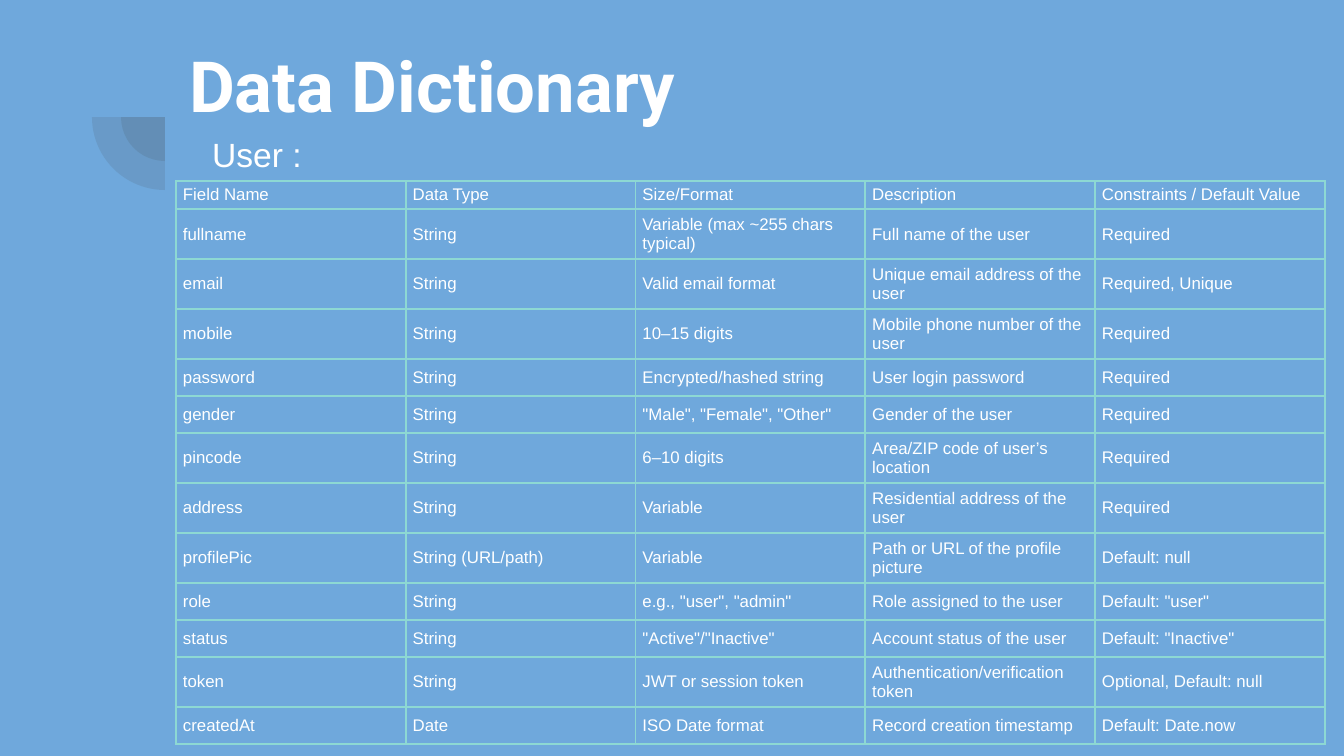
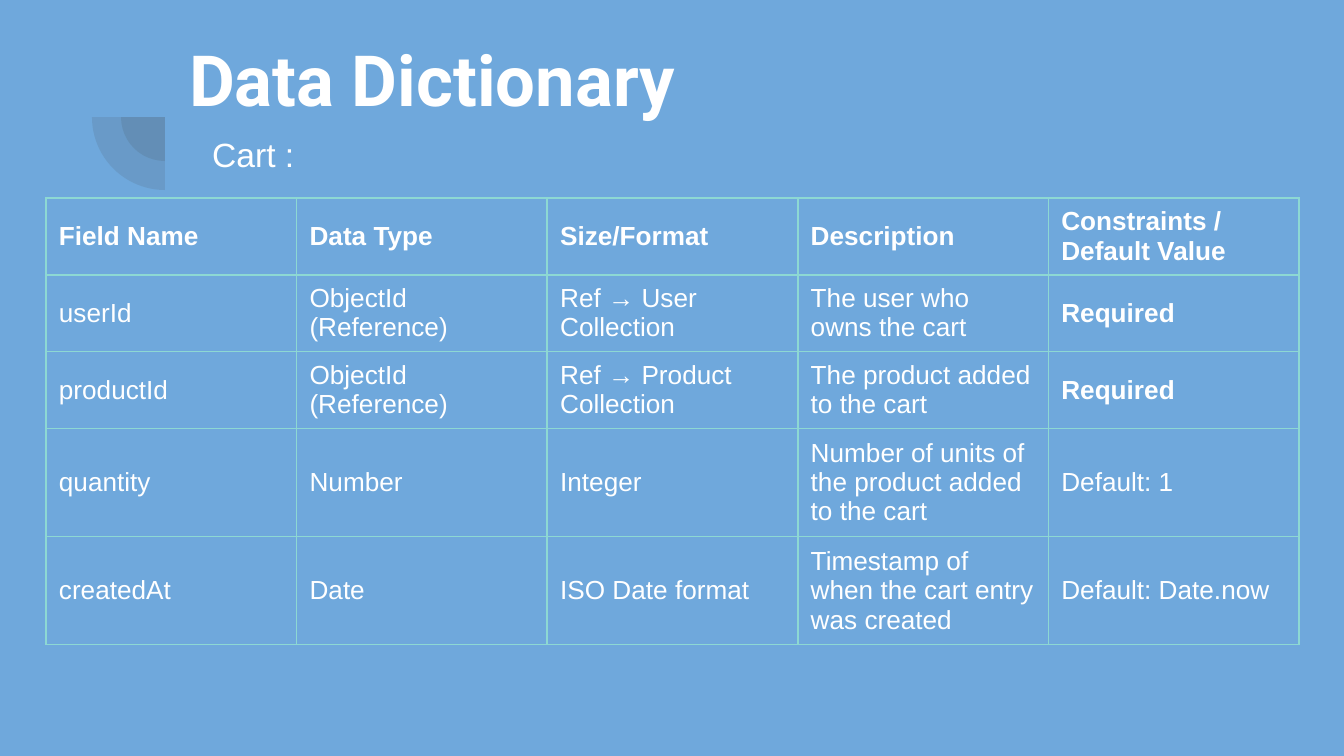
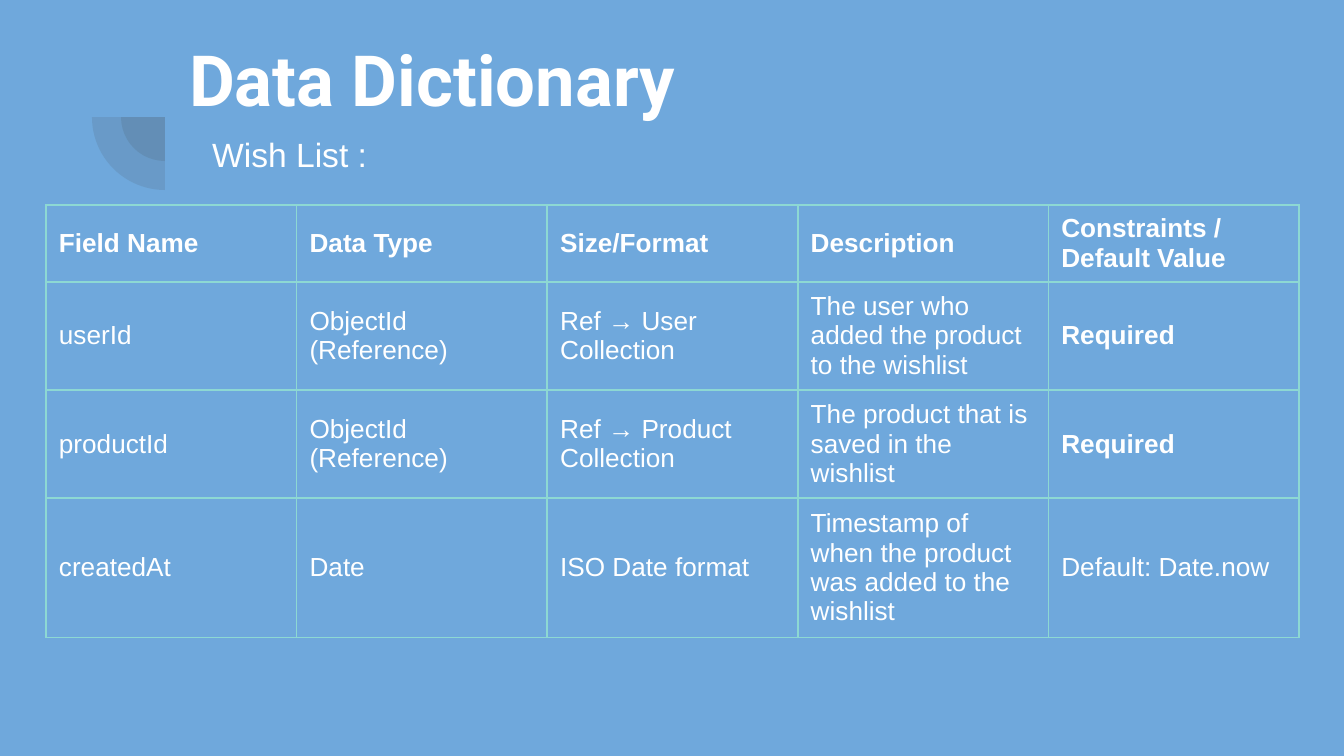
from lxml.etree import SubElement
from pptx import Presentation
from pptx.dml.color import RGBColor
from pptx.enum.shapes import MSO_SHAPE
from pptx.enum.text import MSO_ANCHOR, MSO_AUTO_SIZE
from pptx.oxml.ns import qn
from pptx.util import Emu, Pt

SKY = "6FA8DC"
MINT = "8DD8D3"
WHITE = "FFFFFF"
GREY = "424242"
BODY_FONT = "Arial"
TITLE_FONT = "Roboto"

HEADER = ["Field Name", "Data Type", "Size/Format", "Description",
          "Constraints / Default Value"]
USER_ROWS = [
    ["fullname", "String", "Variable (max ~255 chars typical)", "Full name of the user", "Required"],
    ["email", "String", "Valid email format", "Unique email address of the user", "Required, Unique"],
    ["mobile", "String", "10–15 digits", "Mobile phone number of the user", "Required"],
    ["password", "String", "Encrypted/hashed string", "User login password", "Required"],
    ["gender", "String", '"Male", "Female", "Other"', "Gender of the user", "Required"],
    ["pincode", "String", "6–10 digits", "Area/ZIP code of user’s location", "Required"],
    ["address", "String", "Variable", "Residential address of the user", "Required"],
    ["profilePic", "String (URL/path)", "Variable", "Path or URL of the profile picture", "Default: null"],
    ["role", "String", 'e.g., "user", "admin"', "Role assigned to the user", 'Default: "user"'],
    ["status", "String", '"Active"/"Inactive"', "Account status of the user", 'Default: "Inactive"'],
    ["token", "String", "JWT or session token", "Authentication/verification token", "Optional, Default: null"],
    ["createdAt", "Date", "ISO Date format", "Record creation timestamp", "Default: Date.now"],
]
USER_ID = ["userId", "ObjectId (Reference)", "Ref → User Collection"]
PRODUCT_ID = ["productId", "ObjectId (Reference)", "Ref → Product Collection"]
CREATED_AT = ["createdAt", "Date", "ISO Date format"]
CART_ROWS = [
    USER_ID + ["The user who owns the cart", "Required"],
    PRODUCT_ID + ["The product added to the cart", "Required"],
    ["quantity", "Number", "Integer", "Number of units of the product added to the cart", "Default: 1"],
    CREATED_AT + ["Timestamp of when the cart entry was created", "Default: Date.now"],
]
WISH_ROWS = [
    USER_ID + ["The user who added the product to the wishlist", "Required"],
    PRODUCT_ID + ["The product that is saved in the wishlist", "Required"],
    CREATED_AT + ["Timestamp of when the product was added to the wishlist", "Default: Date.now"],
]


def px(n):
    return Emu(round(n * 914400 / 134.4))


def rgb(color):
    return RGBColor.from_string(color)


def format_runs(tf, size, font=BODY_FONT, bold=False):
    for p in tf.paragraphs:
        for r in p.runs:
            r.font.size = Pt(size)
            r.font.name = font
            r.font.bold = bold
            r.font.color.rgb = rgb(WHITE)


def add_text(s, x, y, w, h, text, size, font=BODY_FONT, bold=False):
    tf = s.shapes.add_textbox(px(x), px(y), px(w), px(h)).text_frame
    tf.word_wrap = True
    tf.text = text
    format_runs(tf, size, font, bold)
    return tf


def add_quarter(s, cx, cy, radius):
    sp = s.shapes.add_shape(MSO_SHAPE.PIE, px(cx - radius), px(cy - radius),
                            px(2 * radius), px(2 * radius))
    sp.adjustments[0] = 108
    sp.adjustments[1] = 162
    sp.rotation = 270
    sp.shadow.inherit = False
    sp.line.fill.background()
    sp.fill.solid()
    sp.fill.fore_color.rgb = rgb(GREY)
    clr = sp.fill._xPr.find(qn("a:solidFill"))[0]
    SubElement(clr, qn("a:alpha"), val="13000")


def add_borders(cell):
    tcPr = cell._tc.get_or_add_tcPr()
    for side in ("lnL", "lnR", "lnT", "lnB"):
        ln = SubElement(tcPr, qn(f"a:{side}"), w=str(Pt(1)))
        SubElement(SubElement(ln, qn("a:solidFill")), qn("a:srgbClr"), val=MINT)


def add_fields(s, x, y, w, heights, rows, size, inset, fill=None, emphasis=True):
    rows = [HEADER] + rows
    table = s.shapes.add_table(len(rows), len(HEADER), px(x), px(y), px(w),
                               px(sum(heights))).table
    table.first_row = False
    table.horz_banding = False
    for i, (row, height) in enumerate(zip(rows, heights)):
        table.rows[i].height = px(height)
        for j, text in enumerate(row):
            cell = table.cell(i, j)
            cell.text_frame.text = text
            bold = emphasis and (i == 0 or text == "Required")
            format_runs(cell.text_frame, size, bold=bold)
            cell.vertical_anchor = MSO_ANCHOR.MIDDLE
            cell.margin_left = cell.margin_right = px(inset[0])
            cell.margin_top = cell.margin_bottom = px(inset[1])
            add_borders(cell)
            if fill:
                cell.fill.solid()
                cell.fill.fore_color.rgb = rgb(fill)
            else:
                cell.fill.background()


def add_base(prs, title_y):
    s = prs.slides.add_slide(prs.slide_layouts[6])
    s.background.fill.solid()
    s.background.fill.fore_color.rgb = rgb(SKY)
    for radius in (44, 73):
        add_quarter(s, 165, 117, radius)
    tf = add_text(s, 176, title_y, 1034, 117, "Data Dictionary", 37.8, TITLE_FONT, True)
    tf.vertical_anchor = MSO_ANCHOR.MIDDLE
    tf.margin_left = tf.margin_right = tf.margin_top = tf.margin_bottom = px(13)
    return s


def add_collection(s, name, w):
    tf = add_text(s, 199, 127, w, 54, name, 18)
    tf.auto_size = MSO_AUTO_SIZE.SHAPE_TO_FIT_TEXT


def main():
    prs = Presentation()
    prs.slide_width, prs.slide_height = px(1344), px(756)

    s = add_base(prs, 26)
    heights = [28, 50, 50, 50, 37, 37, 50, 50, 50, 37, 37, 50, 37]
    add_fields(s, 176, 181, 1149, heights, USER_ROWS, 9, (7, 4), SKY, False)
    add_collection(s, "User :", 151)

    for name, y, heights, rows in (
        ("Cart :", 198, [76, 76, 76, 108, 108], CART_ROWS),
        ("Wish List :", 205, [76, 108, 108, 139], WISH_ROWS),
    ):
        s = add_base(prs, 20)
        add_collection(s, name, 216)
        add_fields(s, 46, y, 1253, heights, rows, 14, (13, 7))

    prs.save("out.pptx")


if __name__ == "__main__":
    main()
